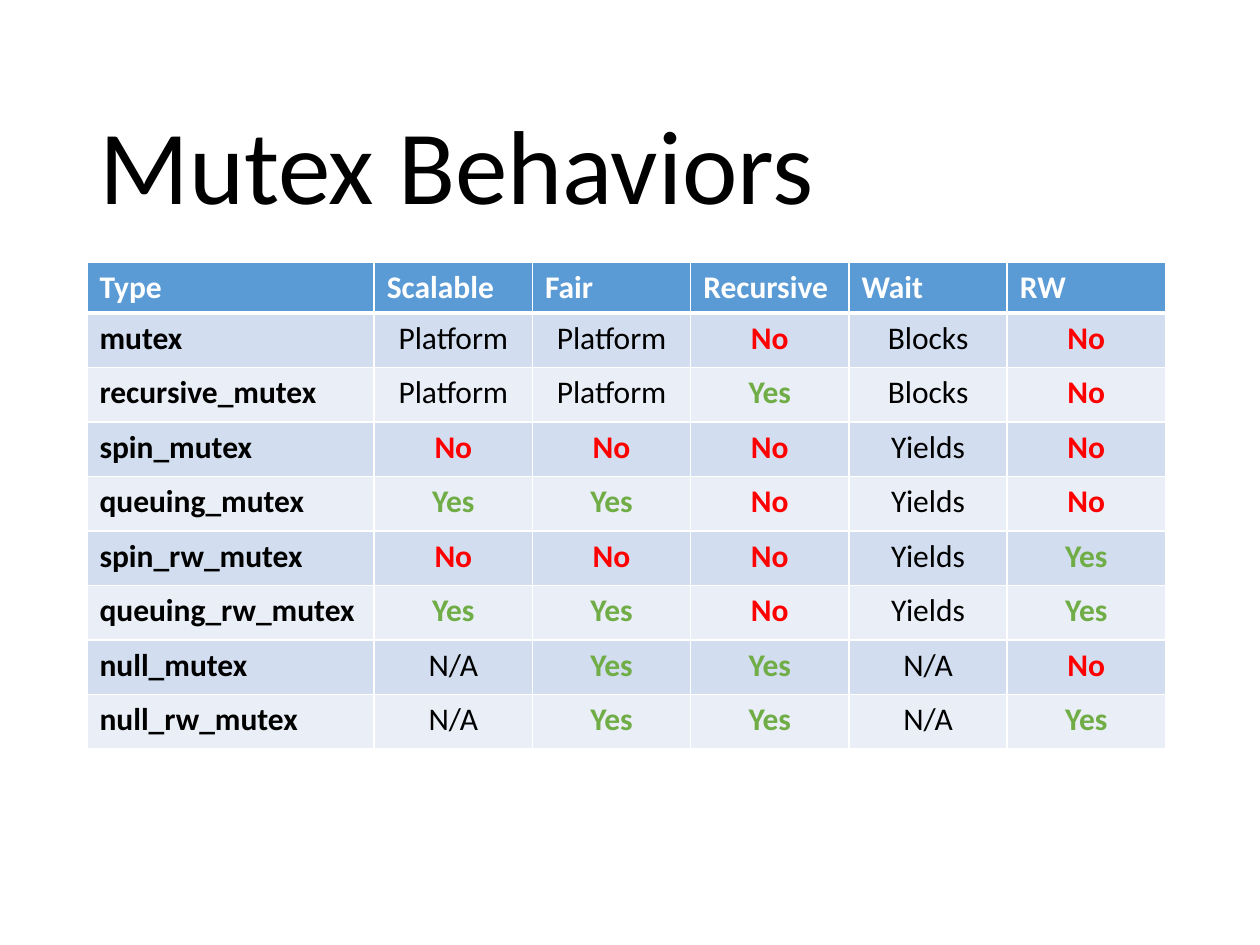
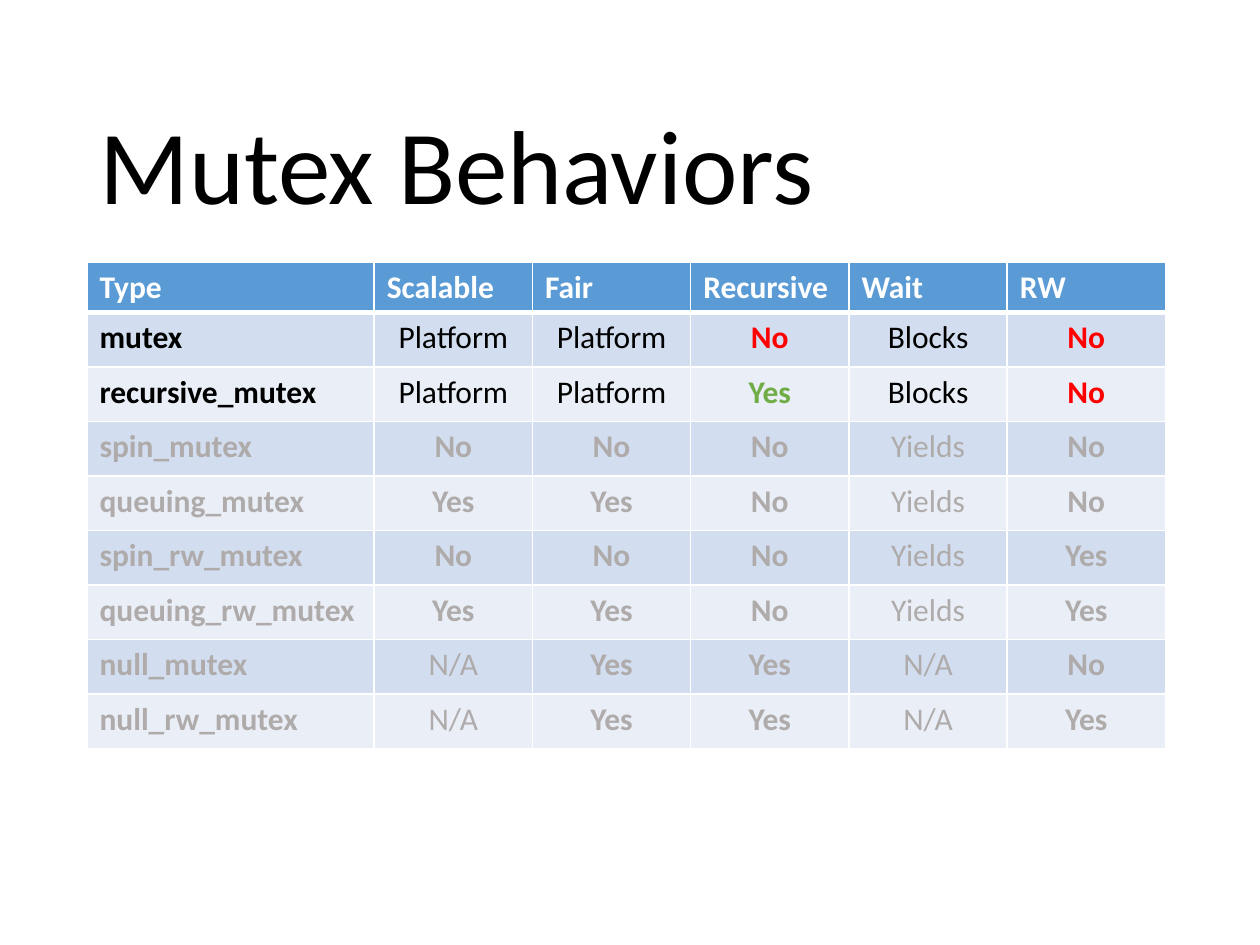
from lxml.etree import SubElement
from pptx import Presentation
from pptx.dml.color import RGBColor
from pptx.enum.text import MSO_ANCHOR, PP_ALIGN
from pptx.oxml.ns import qn
from pptx.util import Inches, Pt

WHITE = RGBColor(0xFF, 0xFF, 0xFF)
BLACK = RGBColor(0x00, 0x00, 0x00)
HEADER_BLUE = RGBColor(0x5B, 0x9B, 0xD5)
BANDS = RGBColor(0xD2, 0xDE, 0xEF), RGBColor(0xEA, 0xEF, 0xF7)
MUTED = RGBColor(0xAF, 0xAB, 0xAB)
VERDICTS = {"No": RGBColor(0xFF, 0x00, 0x00), "Yes": RGBColor(0x70, 0xAD, 0x47)}

FONT = "Calibri"
TITLE = "Mutex Behaviors"
TITLE_BOX = Inches(0.69), Inches(0.4), Inches(8.62), Inches(1.45)
TABLE_BOX = Inches(0.69), Inches(2.08), Inches(8.56), Inches(3.86)
TYPE_WIDTH = Inches(2.28)
HEADER_HEIGHT = Inches(0.4)

HEADINGS = ["Type", "Scalable", "Fair", "Recursive", "Wait", "RW"]
MUTEXES = [
    ["mutex", "Platform", "Platform", "No", "Blocks", "No"],
    ["recursive_mutex", "Platform", "Platform", "Yes", "Blocks", "No"],
    ["spin_mutex", "No", "No", "No", "Yields", "No"],
    ["queuing_mutex", "Yes", "Yes", "No", "Yields", "No"],
    ["spin_rw_mutex", "No", "No", "No", "Yields", "Yes"],
    ["queuing_rw_mutex", "Yes", "Yes", "No", "Yields", "Yes"],
    ["null_mutex", "N/A", "Yes", "Yes", "N/A", "No"],
    ["null_rw_mutex", "N/A", "Yes", "Yes", "N/A", "Yes"],
]


def write(paragraph, text, size, color, bold=False):
    """Add one formatted run to a paragraph."""
    run = paragraph.add_run()
    run.text = text
    for name, value in {"name": FONT, "size": Pt(size), "bold": bold}.items():
        setattr(run.font, name, value)
    run.font.color.rgb = color


def add_title(slide, box):
    """Place the slide title at the bottom of its box."""
    frame = slide.shapes.add_textbox(*box).text_frame
    for name, value in {"word_wrap": True, "vertical_anchor": MSO_ANCHOR.BOTTOM}.items():
        setattr(frame, name, value)
    heading = frame.paragraphs[0]
    heading.line_spacing = 0.9
    write(heading, TITLE, 60, BLACK)


def add_borders(cell, top, bottom):
    """Rule a cell in white, with the given top and bottom widths in points."""
    properties = cell._tc.get_or_add_tcPr()
    for side, width in {"L": 1, "R": 1, "T": top, "B": bottom}.items():
        line = SubElement(properties, qn(f"a:ln{side}"), w=str(Pt(width)))
        fill = SubElement(line, qn("a:solidFill"))
        SubElement(fill, qn("a:srgbClr"), val=str(WHITE))


def fill_cell(cell, text, fill, color, bold, align, top=1, bottom=1):
    """Give a cell its borders, background and text."""
    add_borders(cell, top, bottom)
    cell.fill.solid()
    cell.fill.fore_color.rgb = fill
    paragraph = cell.text_frame.paragraphs[0]
    paragraph.alignment = align
    write(paragraph, text, 18, color, bold)


def add_behavior_table(slide, box, highlighted):
    """Compare the mutexes, muting the rows that are not highlighted."""
    width, height = box[2:]
    table = slide.shapes.add_table(len(MUTEXES) + 1, len(HEADINGS), *box).table
    for index, column in enumerate(table.columns):
        column.width = (width - TYPE_WIDTH) // (len(HEADINGS) - 1) if index else TYPE_WIDTH
    for index, row in enumerate(table.rows):
        row.height = (height - HEADER_HEIGHT) // len(MUTEXES) if index else HEADER_HEIGHT

    for column, heading in enumerate(HEADINGS):
        fill_cell(table.cell(0, column), heading, HEADER_BLUE, WHITE, True,
                  PP_ALIGN.LEFT, bottom=3)
    for row, behaviors in enumerate(MUTEXES):
        for column, behavior in enumerate(behaviors):
            color = VERDICTS.get(behavior, BLACK) if row in highlighted else MUTED
            bold = column == 0 or behavior in VERDICTS
            align = PP_ALIGN.CENTER if column else PP_ALIGN.LEFT
            fill_cell(table.cell(row + 1, column), behavior, BANDS[row % 2], color,
                      bold, align, top=1 if row else 3)


def add_behavior_slide(deck, highlighted):
    """Build one slide with the title and the comparison table."""
    slide = deck.slides.add_slide(deck.slide_layouts[6])
    add_behavior_table(slide, TABLE_BOX, highlighted)
    add_title(slide, TITLE_BOX)


def main():
    """Build and save the deck."""
    deck = Presentation()
    deck.slide_width, deck.slide_height = Inches(10), Inches(7.5)
    for highlighted in (range(len(MUTEXES)), range(2)):
        add_behavior_slide(deck, highlighted)
    deck.save("out.pptx")


if __name__ == "__main__":
    main()
